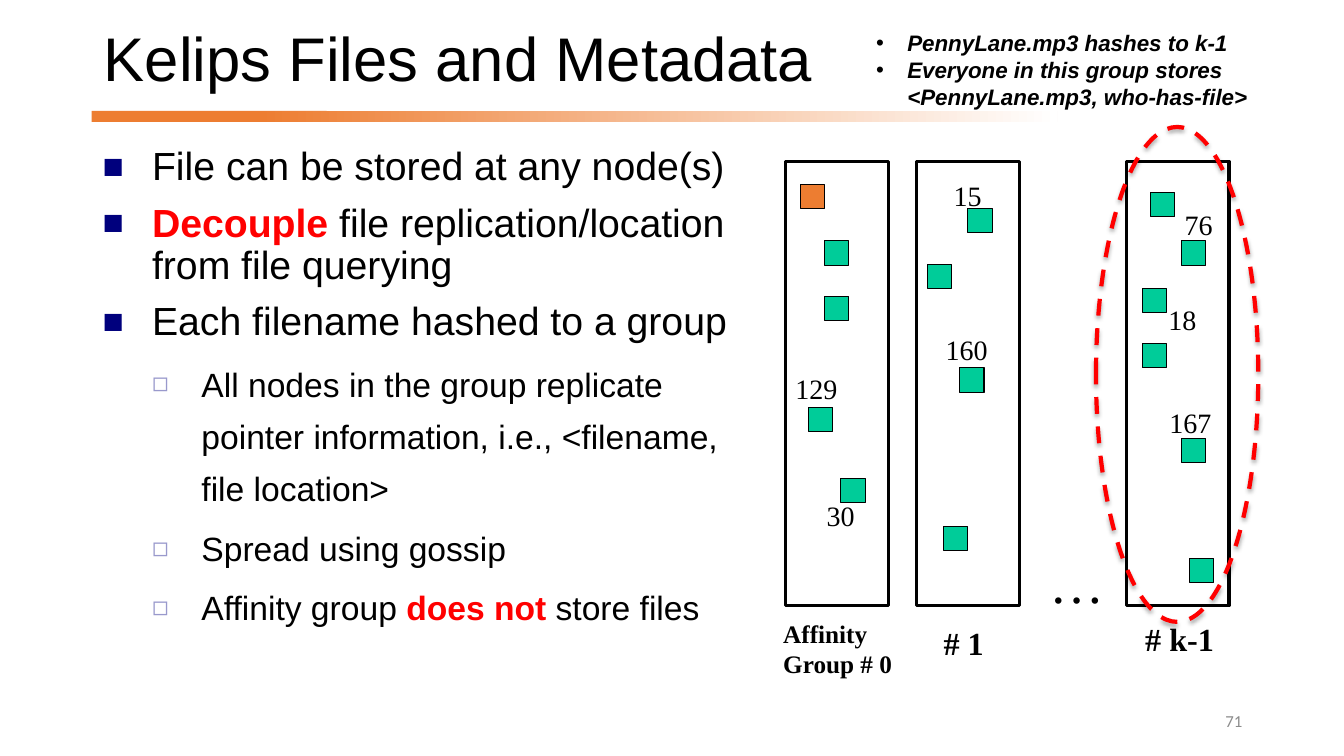
from lxml.etree import SubElement
from pptx import Presentation
from pptx.dml.color import RGBColor
from pptx.enum.dml import MSO_LINE
from pptx.enum.shapes import MSO_SHAPE
from pptx.enum.text import MSO_ANCHOR, MSO_AUTO_SIZE, PP_ALIGN
from pptx.oxml.ns import qn
from pptx.util import Inches, Pt

COLORS = {
    "black": "000000", "white": "FFFFFF", "red": "FF0000", "orange": "ED7D31",
    "node": "00CC99", "navy": "00007D", "lavender": "9999CC", "gray": "8C8C8C",
}
SERIF = "Times New Roman"
NODE_SIZE = 0.24

BULLETS = [
    (0, [("File can be stored at any node(s)", False)]),
    (0, [("Decouple", True), (" file replication/location from file querying", False)]),
    (0, [("Each filename hashed to a group", False)]),
    (1, [("All nodes in the group replicate pointer information, i.e., "
          "<filename, file location>", False)]),
    (1, [("Spread using gossip", False)]),
    (1, [("Affinity group ", False), ("does not", True), (" store files", False)]),
]
LEVELS = [
    {"size": 28, "spacing": 0.9, "before": 10, "indent": 0.49,
     "bullet": "■", "color": "navy", "percent": 90},
    {"size": 24, "spacing": 1.3, "before": 5, "indent": 0.98,
     "bullet": "◻", "color": "lavender", "percent": 80},
]
GROUPS = [
    {"left": 7.79,
     "nodes": [(0.15, 0.23), (0.39, 0.79), (0.39, 1.34), (0.23, 2.44), (0.55, 3.15)],
     "labels": [("129", 0, 2.04), ("30", 0.31, 3.3)],
     "caption": (["Affinity", "Group # 0"], -0.12, 4.48, 18)},
    {"left": 9.09,
     "nodes": [(0.51, 0.47), (0.11, 1.02), (0.43, 2.05), (0.27, 3.62)],
     "labels": [("15", 0.27, 0.12), ("160", 0.19, 1.65)],
     "caption": (["# 1"], 0.17, 4.53, 23)},
    {"left": 11.17,
     "nodes": [(0.24, 0.31), (0.55, 0.79), (0.16, 1.26), (0.16, 1.81),
               (0.63, 3.94), (0.55, 2.75)],
     "labels": [("76", 0.48, 0.41), ("18", 0.32, 1.35), ("167", 0.33, 2.37)],
     "caption": (["# k-1"], 0.09, 4.49, 23)},
]


def color(name):
    return RGBColor.from_string(COLORS[name])


def add_run(paragraph, text, size, font="Arial", fill="black", bold=False, italic=False):
    run = paragraph.add_run()
    run.text = text
    run.font.size = Pt(size)
    run.font.name = font
    run.font.color.rgb = color(fill)
    run.font.bold = bold
    run.font.italic = italic


def add_text_box(slide, left, top, width, height, wrap=True):
    shape = slide.shapes.add_textbox(*map(Inches, (left, top, width, height)))
    shape.text_frame.word_wrap = wrap
    return shape.text_frame


def next_paragraph(frame, index):
    return frame.paragraphs[0] if index == 0 else frame.add_paragraph()


def set_bullet(paragraph, character, left, hanging, fill="black", percent=100):
    properties = paragraph._p.get_or_add_pPr()
    properties.set("marL", str(Inches(left)))
    properties.set("indent", str(-Inches(hanging)))
    bullet_color = SubElement(properties, qn("a:buClr"))
    SubElement(bullet_color, qn("a:srgbClr"), val=COLORS[fill])
    SubElement(properties, qn("a:buSzPct"), val=str(percent * 1000))
    SubElement(properties, qn("a:buFont"), typeface="Arial")
    SubElement(properties, qn("a:buChar"), char=character)


def add_shape(slide, kind, left, top, width, height, fill=None, line=None, weight=0.75):
    shape = slide.shapes.add_shape(kind, *map(Inches, (left, top, width, height)))
    shape.shadow.inherit = False
    if fill:
        shape.fill.solid()
        shape.fill.fore_color.rgb = color(fill)
    else:
        shape.fill.background()
    if line:
        shape.line.color.rgb = color(line)
        shape.line.width = Pt(weight)
    else:
        shape.line.fill.background()
    return shape


def add_header(slide, left, top, width, height):
    bar_left, bar_top, bar_height = left - 0.02, top + 0.93, 0.11
    add_shape(slide, MSO_SHAPE.RECTANGLE, bar_left, bar_top, 2.33, bar_height, "orange")
    fade = add_shape(slide, MSO_SHAPE.RECTANGLE, bar_left + 1.66, bar_top, 7.92, bar_height)
    fade.fill.gradient()
    fade.fill.gradient_angle = 0
    for stop, name, position in zip(fade.fill.gradient_stops, ("orange", "white"), (0, 1)):
        stop.color.rgb = color(name)
        stop.position = position

    title = slide.shapes.title
    title.left, title.top, title.width, title.height = map(Inches, (left, top, width, height))
    frame = title.text_frame
    frame.auto_size = MSO_AUTO_SIZE.NONE
    frame.vertical_anchor = MSO_ANCHOR.MIDDLE
    paragraph = frame.paragraphs[0]
    paragraph.alignment = PP_ALIGN.LEFT
    paragraph.line_spacing = 0.9
    add_run(paragraph, "Kelips Files and Metadata", 44)


def add_bullets(slide, left, top, width, height):
    frame = add_text_box(slide, left, top, width, height)
    for index, (level, parts) in enumerate(BULLETS):
        style = LEVELS[level]
        paragraph = next_paragraph(frame, index)
        paragraph.level = level
        paragraph.line_spacing = style["spacing"]
        paragraph.space_before = Pt(style["before"])
        set_bullet(paragraph, style["bullet"], style["indent"], 0.49,
                   style["color"], style["percent"])
        for text, strong in parts:
            add_run(paragraph, text, style["size"], fill="red" if strong else "black",
                    bold=strong)


def add_group(slide, group, top, width, height):
    left = group["left"]
    add_shape(slide, MSO_SHAPE.RECTANGLE, left, top, width, height, line="black", weight=2.25)
    for index, (x, y) in enumerate(group["nodes"]):
        is_file_holder = group is GROUPS[0] and index == 0
        add_shape(slide, MSO_SHAPE.RECTANGLE, left + x, top + y, NODE_SIZE, NODE_SIZE,
                  "orange" if is_file_holder else "node", "black")
    for text, x, y in group["labels"]:
        frame = add_text_box(slide, left + x, top + y, 0.2 + 0.14 * len(text), 0.44, False)
        add_run(frame.paragraphs[0], text, 20, SERIF)
    lines, x, y, size = group["caption"]
    frame = add_text_box(slide, left + x, top + y, 1.3, 0.51, False)
    for index, line in enumerate(lines):
        add_run(next_paragraph(frame, index), line, size, SERIF, bold=True)


def add_highlight(slide, left, top, width, height):
    ellipse = add_shape(slide, MSO_SHAPE.OVAL, left, top, width, height, line="red", weight=3)
    ellipse.line.dash_style = MSO_LINE.DASH
    effects = ellipse._element.spPr.find(qn("a:effectLst"))
    shadow = SubElement(effects, qn("a:outerShdw"), blurRad=str(Pt(3.1)),
                        dist=str(Pt(1.8)), dir="5400000", rotWithShape="0")
    shadow_color = SubElement(shadow, qn("a:srgbClr"), val=COLORS["black"])
    SubElement(shadow_color, qn("a:alpha"), val="35000")


def add_note(slide, left, top, width, height):
    frame = add_text_box(slide, left, top, width, height)
    for index, text in enumerate(("PennyLane.mp3 hashes to k-1",
                                  "Everyone in this group stores <PennyLane.mp3, who-has-file>")):
        paragraph = next_paragraph(frame, index)
        set_bullet(paragraph, "•", 0.31, 0.31)
        add_run(paragraph, text, 16, bold=True, italic=True)


def add_page_number(slide, left, top, width, height):
    frame = add_text_box(slide, left, top, width, height)
    frame.vertical_anchor = MSO_ANCHOR.MIDDLE
    frame.paragraphs[0].alignment = PP_ALIGN.RIGHT
    add_run(frame.paragraphs[0], "71", 12, "Calibri", "gray")


def main():
    presentation = Presentation()
    presentation.slide_width = Inches(13.33)
    presentation.slide_height = Inches(7.5)
    slide = presentation.slides.add_slide(presentation.slide_layouts[5])
    add_header(slide, 0.93, 0.17, 11.14, 0.89)
    add_page_number(slide, 9.42, 6.95, 3, 0.4)
    add_bullets(slide, 0.92, 1.41, 6.74, 5.74)
    for group in GROUPS:
        add_group(slide, group, 1.6, 1.02, 4.41)
    ellipsis = add_text_box(slide, 10.31, 5.4, 0.65, 0.78, False)
    add_run(ellipsis.paragraphs[0], "…", 39, SERIF)
    add_note(slide, 8.59, 0.24, 4.12, 0.91)
    add_highlight(slide, 10.87, 1.26, 1.61, 4.91)
    presentation.save("out.pptx")


if __name__ == "__main__":
    main()
